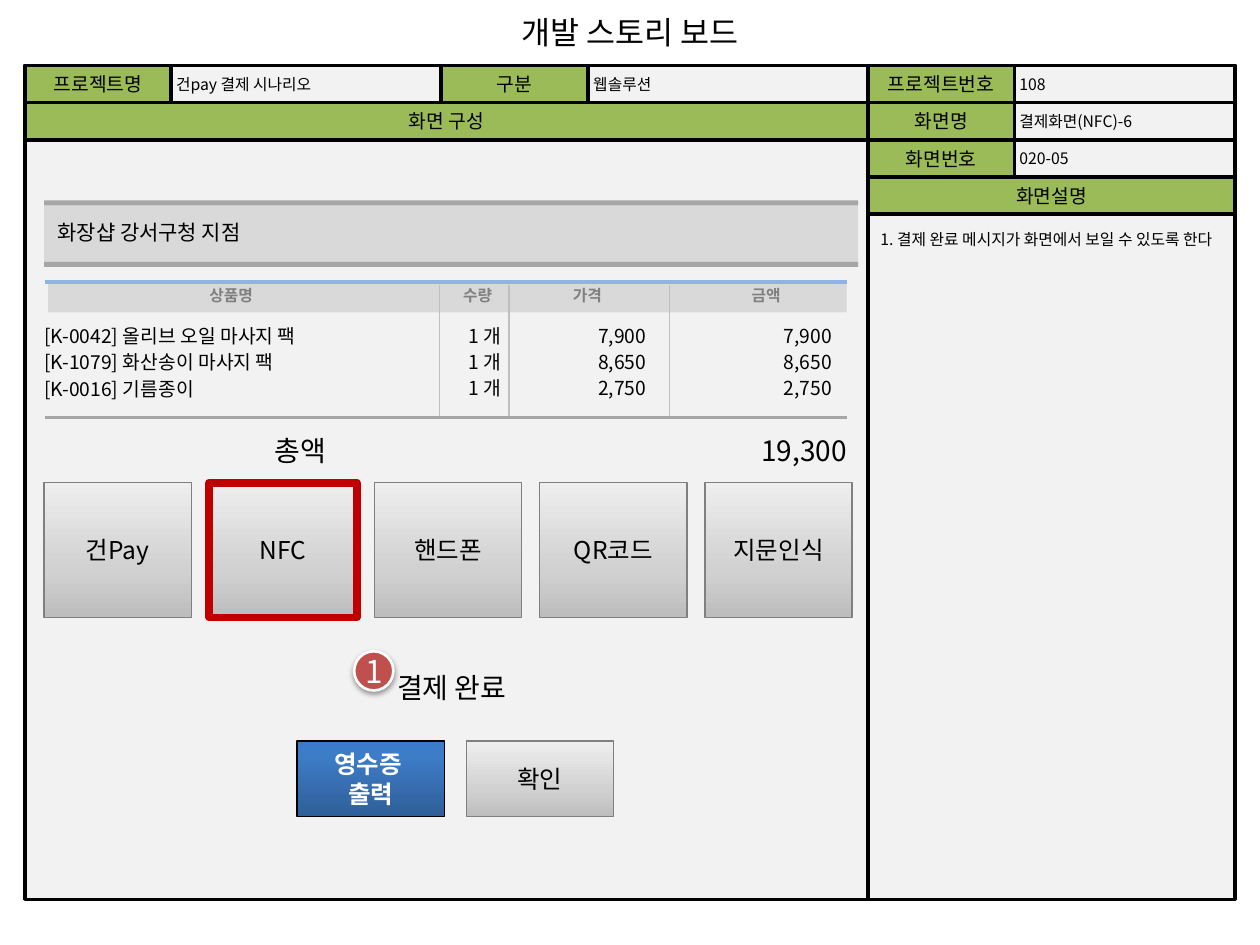
from dataclasses import dataclass
from copy import deepcopy
from typing import NamedTuple

from lxml.etree import SubElement
from pptx import Presentation
from pptx.dml.color import RGBColor
from pptx.enum.shapes import MSO_CONNECTOR, MSO_SHAPE
from pptx.enum.text import MSO_ANCHOR, PP_ALIGN
from pptx.oxml.ns import qn
from pptx.util import Cm, Pt

FONT = "Noto Sans CJK KR"
GREEN, PALE, BLACK, WHITE = "9BBB59", "F2F2F2", "000000", "FFFFFF"
GRAY, MID, SILVER = "808080", "A6A6A6", "D9D9D9"
STEEL = ((0, "BDBDBD"), (35, "D1D1D1"), (100, "EEEEEE"))
BLUE = ((0, "2F5F99"), (80, "3D7CC7"), (100, "3A7CCB"))
LEFT, MIDDLE, RIGHT = PP_ALIGN.LEFT, PP_ALIGN.CENTER, PP_ALIGN.RIGHT


class Box(NamedTuple):
    """Left, top, width and height in centimetres."""
    x: float
    y: float
    w: float
    h: float


@dataclass(frozen=True)
class Style:
    size: float
    align: PP_ALIGN = MIDDLE
    color: str = BLACK
    bold: bool = False
    center: bool = True
    inset: tuple = (0.25, 0.13)
    space: float | None = None
    wrap: bool = True


@dataclass(frozen=True)
class Cell:
    """A bar of the form, between two column edges on one row."""
    start: int
    end: int
    row: int
    text: str
    label: bool = True


LABEL = Style(11)
VALUE = Style(9, LEFT, inset=(0.1, 0.1))
NOTE = Style(9, LEFT, center=False, space=1.5)
TITLE = Style(18, center=False, wrap=False)
SHOP = Style(12, LEFT, center=False)
HEAD = Style(9, color=GRAY, bold=True, center=False, inset=(0, 0))
ITEM = Style(11, LEFT, inset=(0, 0))
COUNT = Style(11, RIGHT, center=False, inset=(0, 0))
TOTAL = Style(16, center=False, inset=(0, 0))
SUM = Style(16, RIGHT, center=False, inset=(0, 0))
PUSH = Style(14)
PRINT = Style(14, color=WHITE, bold=True)
BADGE = Style(18, color=WHITE, inset=(0, 0))

EDGES = (0.51, 3.45, 8.89, 11.86, 17.5, 20.45, 24.9)
TOP, ROW, END = 1.32, 0.75, 18.13
CELLS = (
    Cell(0, 1, 0, "프로젝트명"), Cell(2, 3, 0, "구분"),
    Cell(4, 5, 0, "프로젝트번호"), Cell(0, 4, 1, "화면 구성"),
    Cell(4, 5, 1, "화면명"), Cell(4, 6, 3, "화면설명"),
    Cell(1, 2, 0, "건pay 결제 시나리오", False),
    Cell(3, 4, 0, "웹솔루션", False), Cell(5, 6, 0, "108", False),
    Cell(5, 6, 1, "결제화면(NFC)-6", False),
    Cell(4, 5, 2, "화면번호"), Cell(5, 6, 2, "020-05", False),
)
HEADS = (("상품명", 3.71, 1.9), ("수량", 9.07, 1.12),
         ("가격", 11, 1.68), ("금액", 14.58, 1.73))
ITEMS = (("[K-0042] 올리브 오일 마사지 팩", "7,900"),
         ("[K-1079] 화산송이 마사지 팩", "8,650"),
         ("[K-0016] 기름종이", "2,750"))
WAYS = ("건Pay", "NFC", "핸드폰", "QR코드", "지문인식")


def rgb(code: str) -> RGBColor:
    return RGBColor.from_string(code)


def write(shape, text: str, style: Style) -> None:
    frame = shape.text_frame
    frame.word_wrap = style.wrap
    frame.vertical_anchor = MSO_ANCHOR.MIDDLE if style.center else MSO_ANCHOR.TOP
    frame.margin_left = frame.margin_right = Cm(style.inset[0])
    frame.margin_top = frame.margin_bottom = Cm(style.inset[1])
    frame.text = text
    for para in frame.paragraphs:
        para.alignment = style.align
        if style.space:
            para.line_spacing = style.space
        font = para.font
        font.name, font.size, font.bold = FONT, Pt(style.size), style.bold
        font.color.rgb = rgb(style.color)
        props = para._p.pPr.find(qn("a:defRPr"))
        SubElement(props, qn("a:ea"), typeface=FONT)


def blend(shape, stops: tuple) -> None:
    """Fill with a gradient that runs from bottom to top."""
    fill = shape.fill
    fill.gradient()
    fill.gradient_angle = 90
    part = shape._element.spPr.find(qn("a:gradFill")).find(qn("a:gsLst"))
    part.append(deepcopy(part[-1]))
    for stop, (place, code) in zip(fill.gradient_stops, stops):
        stop.position = place / 100
        stop.color.rgb = rgb(code)


def draw(host, box: Box, fill: str | tuple, line: str | None = None,
         width: float = 2, kind: MSO_SHAPE = MSO_SHAPE.RECTANGLE):
    shape = host.add_shape(kind, *map(Cm, box))
    shape.shadow.inherit = False
    if isinstance(fill, tuple):
        blend(shape, fill)
    else:
        shape.fill.solid()
        shape.fill.fore_color.rgb = rgb(fill)
    if line:
        shape.line.color.rgb = rgb(line)
        shape.line.width = Pt(width)
    else:
        shape.line.fill.background()
    return shape


def label(host, box: Box, text: str, style: Style) -> None:
    write(host.add_textbox(*map(Cm, box)), text, style)


def rule(host, start: tuple, end: tuple, color: str, width: float) -> None:
    line = host.add_connector(MSO_CONNECTOR.STRAIGHT, *map(Cm, start + end))
    line.line.color.rgb = rgb(color)
    line.line.width = Pt(width)
    SubElement(line._element.spPr, qn("a:effectLst"))


def shade(shape) -> None:
    """Cast a soft shadow straight down."""
    effects = shape._element.spPr.find(qn("a:effectLst"))
    outer = SubElement(effects, qn("a:outerShdw"), blurRad=str(Pt(3.1)),
                       dist=str(Pt(1.6)), dir="5400000", rotWithShape="0")
    color = SubElement(outer, qn("a:srgbClr"), val=BLACK)
    SubElement(color, qn("a:alpha"), val="38000")


def form(host) -> None:
    draw(host, Box(EDGES[0], TOP, EDGES[-1] - EDGES[0], END - TOP), PALE, BLACK)
    top = TOP + 4 * ROW
    side = Box(EDGES[4], top, EDGES[-1] - EDGES[4], END - top)
    write(draw(host, side, PALE, BLACK),
          "1. 결제 완료 메시지가 화면에서 보일 수 있도록 한다", NOTE)
    for cell in CELLS:
        left = EDGES[cell.start]
        box = Box(left, TOP + cell.row * ROW, EDGES[cell.end] - left, ROW)
        bar = draw(host, box, GREEN if cell.label else PALE, BLACK)
        write(bar, cell.text, LABEL if cell.label else VALUE)
    label(host, Box(9.98, 0.13, 5.46, 1.02), "개발 스토리 보드", TITLE)


def bill(host) -> None:
    band = host.add_group_shape().shapes
    draw(band, Box(0.89, 4.14, 16.41, 1.2), SILVER)
    for y in (4.04, 5.28):
        draw(band, Box(0.89, y, 16.41, 0.1), MID)
    label(host, Box(0.91, 4.29, 6.17, 0.79), "화장샵 강서구청 지점", SHOP)
    draw(host, Box(0.97, 5.72, 16.1, 0.58), SILVER)
    rule(host, (0.91, 5.69), (17.07, 5.69), "8EB4E3", 2.25)
    for text, x, width in HEADS:
        label(host, Box(x, 5.77, width, 0.48), text, HEAD)
    for x in (8.86, 10.26, 13.49):
        rule(host, (x, 5.74), (x, 8.38), "BFBFBF", 0.75)
    rule(host, (0.91, 8.41), (17.07, 8.41), MID, 1.5)
    for i, (name, price) in enumerate(ITEMS):
        y = 6.53 + i * 0.53
        label(host, Box(0.89, y, 6.2, 0.48), name, ITEM)
        for text, x, width in (("1 개", 8.84, 1.27), (price, 10.97, 2.06),
                               (price, 14.71, 2.06)):
            label(host, Box(x, y, width, 0.36), text, COUNT)
    label(host, Box(1.5, 8.74, 9.12, 0.79), "총액", TOTAL)
    label(host, Box(11.84, 8.74, 5.23, 0.79), "19,300", SUM)


def pay(host) -> None:
    for i, way in enumerate(WAYS):
        line, width = ("C00000", 4.5) if way == "NFC" else (GRAY, 0.75)
        box = Box(0.89 + i * 3.33, 9.73, 2.97, 2.72)
        write(draw(host, box, STEEL, line, width), way, PUSH)
    label(host, Box(4.55, 13.51, 9.12, 0.79), "결제 완료", TOTAL)
    for x, text, fill, line, style in (
            (9.4, "확인", STEEL, GRAY, PUSH),
            (5.99, "영수증 \n출력", BLUE, BLACK, PRINT)):
        write(draw(host, Box(x, 14.94, 2.97, 1.52), fill, line, 0.75), text, style)
    badge = draw(host, Box(7.14, 13.13, 0.79, 0.79), "C0504D", WHITE, 1.5,
                 MSO_SHAPE.OVAL)
    shade(badge)
    write(badge, "1", BADGE)


def main() -> None:
    deck = Presentation()
    deck.slide_width, deck.slide_height = Cm(25.4), Cm(19.05)
    host = deck.slides.add_slide(deck.slide_layouts[6]).shapes
    form(host)
    bill(host)
    pay(host)
    deck.save("out.pptx")


if __name__ == "__main__":
    main()
